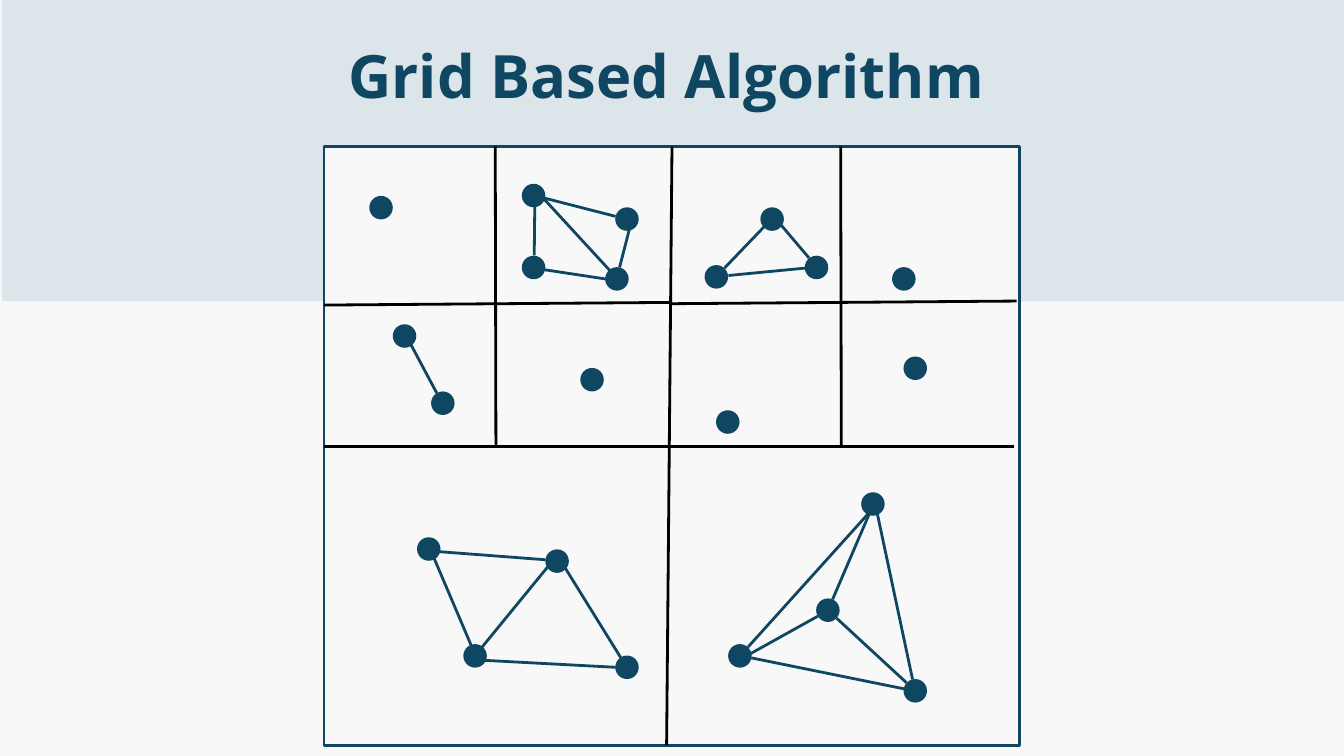
from dataclasses import dataclass
from typing import NamedTuple

from lxml import etree
from pptx import Presentation
from pptx.dml.color import RGBColor
from pptx.enum.shapes import MSO_CONNECTOR, MSO_SHAPE
from pptx.enum.text import MSO_ANCHOR, PP_ALIGN
from pptx.oxml.ns import qn
from pptx.slide import Slide
from pptx.util import Inches, Pt

RECTANGLE = MSO_SHAPE.RECTANGLE
OVAL = MSO_SHAPE.OVAL
STRAIGHT = MSO_CONNECTOR.STRAIGHT
CENTER = PP_ALIGN.CENTER
TOP = MSO_ANCHOR.TOP


@dataclass(frozen=True)
class Theme:
    page: RGBColor = RGBColor(0xF8, 0xF8, 0xF8)
    band: RGBColor = RGBColor(0xDB, 0xE5, 0xEA)
    navy: RGBColor = RGBColor(0x0F, 0x46, 0x62)
    grid: RGBColor = RGBColor(0, 0, 0)
    font: str = "Open Sans"
    title_size: float = 64
    title_spacing: float = 89.6
    line_width: float = 3
    node_size: float = 0.35


THEME = Theme()


class Box(NamedTuple):
    left: float
    top: float
    width: float
    height: float


class Point(NamedTuple):
    x: float
    y: float


class Edge(NamedTuple):
    start: Point
    end: Point


@dataclass(frozen=True)
class Cluster:
    """Node centres in one grid cell and the edges between them."""
    nodes: list[Point]
    edges: list[Edge]


def edge(x1: float, y1: float, x2: float, y2: float) -> Edge:
    return Edge(Point(x1, y1), Point(x2, y2))


BAND = Box(0.03, 0, 19.97, 4.48)
FRAME = Box(4.82, 2.18, 10.35, 8.91)
TITLE = Box(4.36, 0.4, 11.11, 1.2)

FRAME_BOTTOM = FRAME.top + FRAME.height
SMALL_CELLS_BOTTOM = 6.66

GRID_LINES = [
    edge(15.13, 4.48, 9.96, 4.52),
    edge(10, 4.5, FRAME.left, 4.54),
    edge(FRAME.left, 6.64, 15.09, 6.64),
    edge(12.51, FRAME.top, 12.52, SMALL_CELLS_BOTTOM),
    edge(10, FRAME.top, 9.92, FRAME_BOTTOM),
    edge(7.37, FRAME.top, 7.38, SMALL_CELLS_BOTTOM),
]

SINGLE_NODES = Cluster(
    [Point(5.67, 3.09), Point(13.45, 4.15), Point(8.81, 5.65),
     Point(10.83, 6.28), Point(13.62, 5.48)],
    [],
)
PAIR = Cluster(
    [Point(6.02, 5), Point(6.59, 6)],
    [edge(6.02, 4.95, 6.5, 5.85)],
)
SMALL_QUAD = Cluster(
    [Point(7.94, 2.91), Point(9.33, 3.26), Point(7.94, 3.98), Point(9.18, 4.15)],
    [edge(7.96, 2.89, 7.95, 3.8), edge(9.41, 3.24, 9.22, 3.98),
     edge(9.16, 3.22, 8.11, 2.95), edge(9.2, 4.18, 8.01, 4),
     edge(8.03, 2.89, 9.07, 4.02)],
)
TRIANGLE = Cluster(
    [Point(11.49, 3.26), Point(12.15, 3.98), Point(10.66, 4.12)],
    [edge(11.5, 3.24, 10.78, 3.99), edge(12.04, 3.84, 11.54, 3.25),
     edge(11.98, 3.99, 10.84, 4.1)],
)
LARGE_QUAD = Cluster(
    [Point(6.38, 8.17), Point(8.29, 8.35), Point(9.33, 9.93), Point(7.07, 9.76)],
    [edge(8.12, 8.33, 6.28, 8.19), edge(9.16, 9.93, 7.08, 9.82),
     edge(7.01, 9.6, 6.41, 8.19), edge(9.24, 9.79, 8.31, 8.29),
     edge(8.18, 8.4, 7.05, 9.78)],
)
PYRAMID = Cluster(
    [Point(12.99, 7.5), Point(12.32, 9.08), Point(13.62, 10.28), Point(11.01, 9.76)],
    [edge(13.58, 10.11, 13.01, 7.43), edge(11.13, 9.63, 13.05, 7.5),
     edge(11.18, 9.79, 13.45, 10.25), edge(12.39, 8.92, 12.93, 7.66),
     edge(11.02, 9.81, 12.17, 9.17), edge(12.45, 9.2, 13.49, 10.16)],
)
CLUSTERS = [SINGLE_NODES, PAIR, SMALL_QUAD, TRIANGLE, LARGE_QUAD, PYRAMID]


def draw_shape(page: Slide, kind: MSO_SHAPE, box: Box, fill: RGBColor,
               outline: RGBColor | None = None) -> None:
    shape = page.shapes.add_shape(kind, *(Inches(length) for length in box))
    shape.shadow.inherit = False
    shape.fill.solid()
    shape.fill.fore_color.rgb = fill
    if outline is None:
        shape.line.fill.background()
    else:
        shape.line.color.rgb = outline
        shape.line.width = Pt(THEME.line_width)


def draw_line(page: Slide, line: Edge, color: RGBColor) -> None:
    connector = page.shapes.add_connector(
        STRAIGHT, Inches(line.start.x), Inches(line.start.y),
        Inches(line.end.x), Inches(line.end.y))
    connector.line.color.rgb = color
    connector.line.width = Pt(THEME.line_width)
    etree.SubElement(connector.element.spPr, qn("a:effectLst"))


def draw_node(page: Slide, center: Point) -> None:
    size = THEME.node_size
    box = Box(center.x - size / 2, center.y - size / 2, size, size)
    draw_shape(page, OVAL, box, THEME.navy)


def draw_cluster(page: Slide, cluster: Cluster) -> None:
    for node in cluster.nodes:
        draw_node(page, node)
    for link in cluster.edges:
        draw_line(page, link, THEME.navy)


def draw_title(page: Slide, text: str) -> None:
    box = page.shapes.add_textbox(*(Inches(length) for length in TITLE))
    frame = box.text_frame
    frame.word_wrap = True
    frame.vertical_anchor = TOP
    frame.margin_left = frame.margin_right = 0
    frame.margin_top = frame.margin_bottom = 0
    para = frame.paragraphs[0]
    para.alignment = CENTER
    para.line_spacing = Pt(THEME.title_spacing)
    span = para.add_run()
    span.text = text
    span.font.name = THEME.font
    span.font.size = Pt(THEME.title_size)
    span.font.bold = True
    span.font.color.rgb = THEME.navy


def main() -> None:
    deck = Presentation()
    deck.slide_width = Inches(20)
    deck.slide_height = Inches(11.25)
    page = deck.slides.add_slide(deck.slide_layouts[6])
    page.background.fill.solid()
    page.background.fill.fore_color.rgb = THEME.page

    draw_shape(page, RECTANGLE, BAND, THEME.band)
    draw_shape(page, RECTANGLE, FRAME, THEME.page, THEME.navy)
    for line in GRID_LINES:
        draw_line(page, line, THEME.grid)
    for cluster in CLUSTERS:
        draw_cluster(page, cluster)
    draw_title(page, "Grid Based Algorithm")
    deck.save("out.pptx")


if __name__ == "__main__":
    main()
